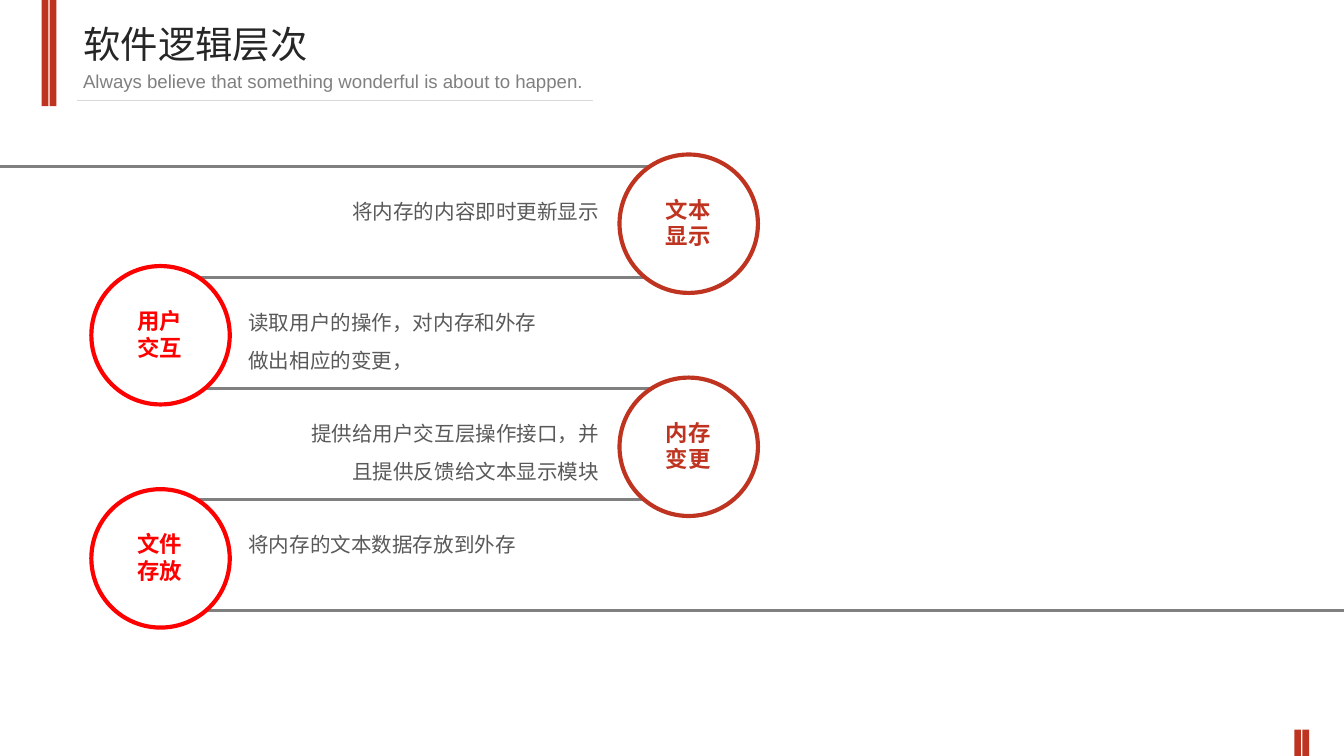
from lxml import etree
from pptx import Presentation
from pptx import util as u
from pptx.dml.color import RGBColor
from pptx.enum import shapes, text
from pptx.oxml.ns import qn

WIDTH = 10
HEIGHT = WIDTH * 9 / 16
BRICK = RGBColor(0xBF, 0x34, 0x20)
RED = RGBColor(0xFF, 0x00, 0x00)
WHITE = RGBColor(0xFF, 0xFF, 0xFF)
INK = RGBColor(0x26, 0x26, 0x26)
BODY = RGBColor(0x59, 0x59, 0x59)
GREY = RGBColor(0x80, 0x80, 0x80)
PALE = RGBColor(0xD9, 0xD9, 0xD9)
CJK = "Noto Sans CJK SC"

RULE_TOP, RULE_BOTTOM = 1.24, 4.54
CIRCLE_TOP, CIRCLE_PITCH = 1.15, 0.83
CIRCLE = 1.03
LEFT_CIRCLE, RIGHT_CIRCLE = 0.68, 4.61
LEFT_TEXT, RIGHT_TEXT = 1.75, 2.16
RULE_LEFT, RULE_RIGHT = 1.2, 5.1

# label lines, description, height of the description, circle on the right
LAYERS = [
    (("文本", "显示"), "将内存的内容即时更新显示", 0.35, True),
    (("用户", "交互"), "读取用户的操作，对内存和外存做出相应的变更，", 0.62, False),
    (("内存", "变更"), "提供给用户交互层操作接口，并且提供反馈给文本显示模块", 0.62, True),
    (("文件", "存放"), "将内存的文本数据存放到外存", 0.35, False),
]
ROW_HEIGHT = (RULE_BOTTOM - RULE_TOP) / len(LAYERS)


def inches(*lengths):
    return [u.Inches(length) for length in lengths]


def write(shape, lines, size, color, spacing, font=CJK, bold=False,
          align=text.PP_ALIGN.LEFT, wrap=True):
    """Fill a text shape; spacing is the line height in points."""
    frame = shape.text_frame
    frame.text = "\n".join(lines)
    frame.word_wrap = wrap
    frame.auto_size = text.MSO_AUTO_SIZE.NONE
    frame.vertical_anchor = text.MSO_ANCHOR.TOP
    for paragraph in frame.paragraphs:
        paragraph.alignment = align
        paragraph.line_spacing = u.Pt(spacing)
        for run in paragraph.runs:
            run.font.size = u.Pt(size)
            run.font.bold = bold
            run.font.color.rgb = color
            run.font.name = font
            east_asian = etree.SubElement(run.font._element, qn("a:ea"))
            east_asian.set("typeface", CJK)


def add_text(slide, box, lines, size, color, spacing, **style):
    shape = slide.shapes.add_textbox(*inches(*box))
    write(shape, lines, size, color, spacing, **style)


def add_rule(slide, left, right, y, color, weight):
    line = slide.shapes.add_connector(
        shapes.MSO_CONNECTOR.STRAIGHT, *inches(left, y, right, y))
    line.line.color.rgb = color
    line.line.width = u.Pt(weight)
    etree.SubElement(line._element.spPr, qn("a:effectLst"))


def add_bar_pair(slide, left, top, height):
    for offset in (0, 0.06):
        bar = slide.shapes.add_shape(
            shapes.MSO_SHAPE.RECTANGLE, *inches(left + offset, top, 0.05, height))
        bar.shadow.inherit = False
        bar.fill.solid()
        bar.fill.fore_color.rgb = BRICK
        bar.line.fill.background()


def add_heading(slide):
    title = slide.shapes.title
    title.left, title.top, title.width, title.height = inches(0.52, 0.11, 4.23, 0.44)
    write(title, ["软件逻辑层次"], 20, INK, 24, font="Roboto Condensed")
    add_text(slide, (0.52, 0.47, 4.23, 0.27),
             ["Always believe that something wonderful is about to happen."],
             10, GREY, 12, font="Arial")
    add_rule(slide, 0.57, 4.41, 0.75, PALE, 0.75)


def add_layer_rules(slide):
    last = len(LAYERS)
    for row in range(last + 1):
        left = 0 if row == 0 else RULE_LEFT
        right = WIDTH if row == last else RULE_RIGHT
        add_rule(slide, left, right, RULE_TOP + row * ROW_HEIGHT, GREY, 1.5)


def add_layer(slide, row, label, description, height, on_right):
    color = BRICK if on_right else RED
    left = RIGHT_CIRCLE if on_right else LEFT_CIRCLE
    top = CIRCLE_TOP + row * CIRCLE_PITCH
    circle = slide.shapes.add_shape(
        shapes.MSO_SHAPE.OVAL, *inches(left, top, CIRCLE, CIRCLE))
    circle.shadow.inherit = False
    circle.fill.solid()
    circle.fill.fore_color.rgb = WHITE
    circle.line.color.rgb = color
    circle.line.width = u.Pt(2.25)
    add_text(slide, (left + 0.24, top + 0.26, 0.54, 0.5), label, 12, color, 14.2,
             bold=True, align=text.PP_ALIGN.CENTER, wrap=False)
    text_left = RIGHT_TEXT if on_right else LEFT_TEXT
    text_top = RULE_TOP + row * ROW_HEIGHT + 0.1
    add_text(slide, (text_left, text_top, 2.4, height), [description], 11, BODY, 20,
             align=text.PP_ALIGN.RIGHT if on_right else text.PP_ALIGN.LEFT)


def main():
    presentation = Presentation()
    presentation.slide_width, presentation.slide_height = inches(WIDTH, HEIGHT)
    slide = presentation.slides.add_slide(presentation.slide_layouts[5])
    add_bar_pair(slide, 0.31, 0, 0.79)
    add_bar_pair(slide, 9.63, 5.43, 0.2)
    add_heading(slide)
    add_layer_rules(slide)
    for row, layer in enumerate(LAYERS):
        add_layer(slide, row, *layer)
    presentation.save("out.pptx")


if __name__ == "__main__":
    main()
